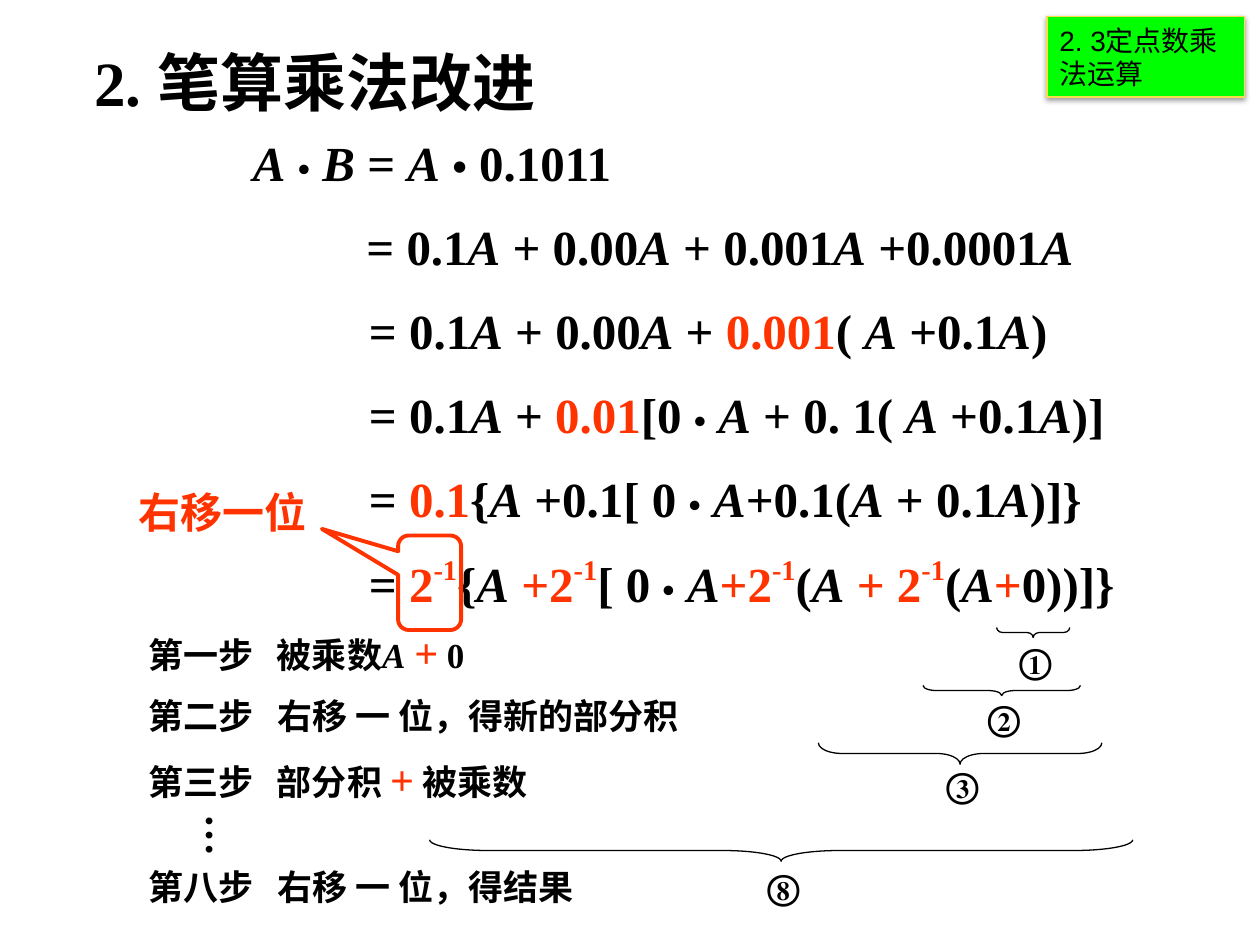
from itertools import groupby

from lxml import etree
from pptx import Presentation
from pptx.dml.color import RGBColor
from pptx.enum.shapes import MSO_SHAPE
from pptx.enum.text import MSO_ANCHOR, MSO_AUTO_SIZE, PP_ALIGN
from pptx.oxml.ns import qn
from pptx.util import Inches, Pt

BLACK = RGBColor(0x00, 0x00, 0x00)
RED = RGBColor(0xFF, 0x33, 0x00)
GREEN = RGBColor(0x00, 0xFF, 0x00)
GOLD = RGBColor(0xFA, 0xDD, 0x4D)
BRACE = MSO_SHAPE.LEFT_BRACE
CALLOUT = MSO_SHAPE.ROUNDED_RECTANGULAR_CALLOUT
RECTANGLE = MSO_SHAPE.RECTANGLE
FIT_SHAPE = MSO_AUTO_SIZE.SHAPE_TO_FIT_TEXT
TOP, MIDDLE = MSO_ANCHOR.TOP, MSO_ANCHOR.MIDDLE
LEFT = PP_ALIGN.LEFT

POWER = ("-1", {"color": RED, "baseline": 45})
PLUS = ("+", {"color": RED, "size": 24})


def red(text):
    return text, {"color": RED}


EQUATIONS = [
    (1.91, 3.04, ["A • B = A ", ("•", {"size": 24}), " 0.1011"]),
    (2.81, 5.82, ["= 0.1A + 0.00A + 0.001A +0.0001A"]),
    (2.83, 5.59, ["= 0.1A + 0.00A + ", red("0.001"), "( A +0.1A)"]),
    (2.83, 6.05, ["= 0.1A + ", red("0.01"), "[0 • A + 0. 1( A +0.1A)]"]),
    (2.83, 5.87, ["= ", red("0.1"), "{A +0.1[ 0 • A+0.1(A + 0.1A)]}"]),
    (2.83, 6.26, ["= ", red("2"), POWER, "{A ", red("+2"), POWER, "[ 0 • A",
                  red("+2"), POWER, "(A ", red("+ 2"), POWER, "(A", red("+"), "0))]}"]),
]
STEPS = [
    (4.92, 3.17, 0.5, ["第一步\t被乘数A ", PLUS, " 0"]),
    (5.46, 4.55, 0.43, ["第二步\t右移 一 位，得新的部分积"]),
    (5.93, 4.17, 0.5, ["第三步\t部分积 ", PLUS, " 被乘数"]),
    (6.82, 4.39, 0.43, ["第八步\t右移 一 位，得结果"]),
]
BRACES = [
    ("①", 8.2, 5.02, 0.08, 0.58, 5.03),
    ("②", 7.95, 5.48, 0.08, 1.25, 5.48),
    ("③", 7.62, 5.98, 0.17, 2.25, 6.01),
    ("⑧", 6.2, 6.75, 0.17, 5.58, 6.82),
]


def char_kind(char):
    return "variable" if char in "AB" else "dot" if char == "•" else "plain"


def write(frame, pieces, size=20, color=BLACK, font="Times New Roman", bold=True,
          wrap=False, anchor=TOP, tab=None):
    frame.word_wrap = wrap
    frame.auto_size = FIT_SHAPE
    frame.vertical_anchor = anchor
    paragraph = frame.paragraphs[0]
    paragraph.alignment = LEFT
    if tab:
        stops = etree.SubElement(paragraph._p.get_or_add_pPr(), qn("a:tabLst"))
        etree.SubElement(stops, qn("a:tab"), pos=str(Inches(tab)), algn="l")
    for piece in pieces:
        text, style = (piece, {}) if isinstance(piece, str) else piece
        for kind, chars in groupby(text, char_kind):
            run = paragraph.add_run()
            run.text = "".join(chars)
            run.font.name = font
            run.font.bold = bold
            run.font.italic = kind == "variable"
            run.font.size = Pt(style.get("size", 20 if kind == "dot" else size))
            run.font.color.rgb = style.get("color", color)
            if "baseline" in style:
                run._r.get_or_add_rPr().set("baseline", str(style["baseline"] * 1000))


def add_text(slide, box, pieces, **style):
    frame = slide.shapes.add_textbox(*map(Inches, box)).text_frame
    write(frame, pieces, **style)
    return frame


def add_outline(slide, preset, box, color, weight):
    shape = slide.shapes.add_shape(preset, *map(Inches, box))
    shape.shadow.inherit = False
    shape.fill.background()
    shape.line.color.rgb = color
    shape.line.width = Pt(weight)
    return shape


def add_brace(slide, label, center_x, center_y, depth, span, label_top):
    box = (center_x - depth / 2, center_y - span / 2, depth, span)
    brace = add_outline(slide, BRACE, box, BLACK, 0.75)
    brace.rotation = 270
    brace.adjustments[0] = span / depth / 12
    add_text(slide, (center_x - 0.21, label_top, 0.48, 0.43), [label])


def add_section_tag(slide):
    tag = add_outline(slide, RECTANGLE, (8.31, 0.13, 1.57, 0.64), GOLD, 0.75)
    tag.fill.solid()
    tag.fill.fore_color.rgb = GREEN
    effects = tag._element.spPr.find(qn("a:effectLst"))
    shadow = etree.SubElement(effects, qn("a:outerShdw"), blurRad=str(Pt(3.1)),
                              dist=str(Pt(1.6)), dir="5400000", rotWithShape="0")
    shade = etree.SubElement(shadow, qn("a:srgbClr"), val=str(BLACK))
    etree.SubElement(shade, qn("a:alpha"), val="38000")
    write(tag.text_frame, ["2. 3定点数乘法运算"], size=16, font="Arial", bold=False,
          wrap=True, anchor=MIDDLE)


def main():
    deck = Presentation()
    deck.slide_width, deck.slide_height = Inches(10), Inches(7.5)
    slide = deck.slides.add_slide(deck.slide_layouts[6])

    add_text(slide, (0.65, 0.3, 3.71, 0.7), ["2. 笔算乘法改进"], size=36, wrap=True)
    for row, (left, width, pieces) in enumerate(EQUATIONS):
        add_text(slide, (left, 1 + row * 2 / 3, width, 0.57), pieces, size=28)
    for brace in BRACES:
        add_brace(slide, *brace)
    for top, width, height, pieces in STEPS:
        add_text(slide, (1.08, top, width, height), pieces, wrap=True, tab=1.02)

    ellipsis = add_text(slide, (1.42, 6.37, 0.6, 0.43), ["…"], size=24)
    ellipsis._txBody.bodyPr.set("vert", "eaVert")

    add_text(slide, (1, 3.81, 1.66, 0.53), ["右移一位"], size=24, color=RED)
    shift_callout = add_outline(slide, CALLOUT, (3.16, 4.25, 0.5, 0.75), RED, 2.25)
    for index, value in enumerate((-1.71, -0.57, 0.17)):
        shift_callout.adjustments[index] = value
    add_section_tag(slide)
    deck.save("out.pptx")


if __name__ == "__main__":
    main()
